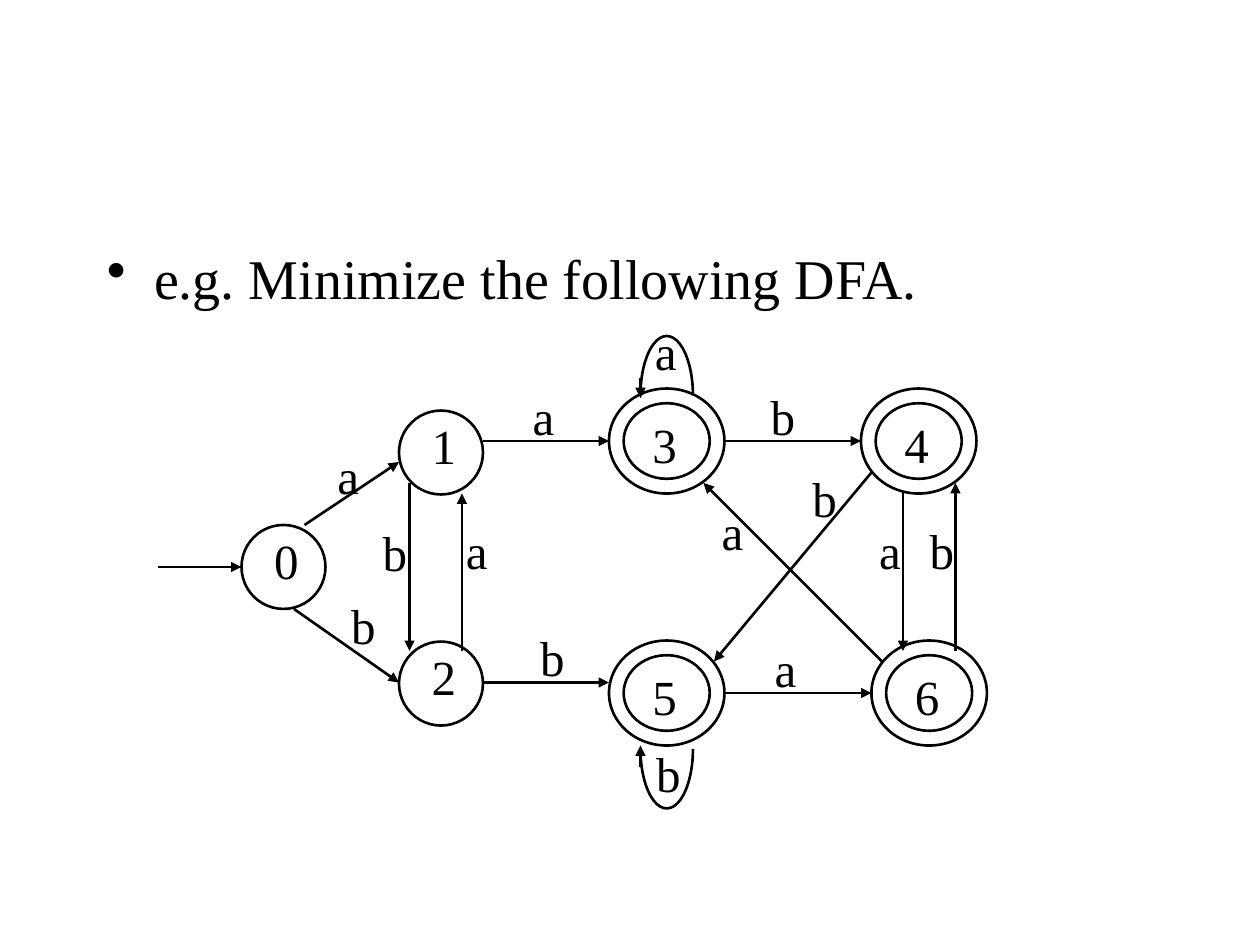
from lxml.etree import SubElement
from pptx import Presentation
from pptx.dml.color import RGBColor
from pptx.enum.shapes import MSO_CONNECTOR, MSO_SHAPE
from pptx.oxml.ns import qn
from pptx.util import Pt

INK = "000000"
FONT = "Times New Roman"
LINE_WIDTH = 1.5

# state: left, top, accepting
STATES = {
    "0": (48, 108, False),
    "1": (138, 42.6, False),
    "2": (138, 174.6, False),
    "3": (258, 30, True),
    "5": (258, 174, True),
    "4": (402, 30, True),
    "6": (408, 174, True),
}
TRANSITIONS = [
    ((0, 132), (48, 132), None, None),
    ((84, 108), (138, 72), "a", (88.6, 59.3)),
    ((78, 156), (138, 198), "b", (96.5, 145)),
    ((144, 84), (144, 180), "b", (114.5, 103.2)),
    ((174, 180), (174, 90), "a", (162, 101.8)),
    ((186, 60), (258, 60), "a", (200.2, 25.4)),
    ((186, 198), (258, 198), "b", (204.5, 163)),
    ((324, 60), (402, 60), "b", (336.2, 25.4)),
    ((324, 204), (408, 204), "a", (338.4, 169.4)),
    ((408, 78), (318, 186), "b", (360, 72.2)),
    ((414, 186), (312, 84), "a", (308.2, 91)),
    ((426, 90), (426, 180), "a", (398.2, 101.8)),
    ((456, 180), (456, 84), "b", (427, 101.8)),
    ((276, 24), (276, 35.5), "a", (270, -12)),
    ((276, 246.5), (276, 234), "b", (270.7, 229.2)),
]
# loop: left, top, start and end angle in degrees
LOOPS = [(276, 0, 180, 0), (276, 202, 0, 180)]


def color(hex_code):
    """Turn a hex string into a colour."""
    return RGBColor.from_string(hex_code)


def add_text(slide, text, left, top, width, height, size=28, inset=14.2,
             inset_top=3.6, bullet_indent=0):
    """Place one paragraph of text, with a bullet if an indent is given."""
    box = slide.shapes.add_textbox(Pt(left), Pt(top), Pt(width), Pt(height))
    frame = box.text_frame
    frame.word_wrap = True
    frame.margin_left, frame.margin_right = Pt(inset), 0
    frame.margin_top = Pt(inset_top)
    paragraph = frame.paragraphs[0]
    paragraph.text = text
    if bullet_indent:
        properties = paragraph._p.get_or_add_pPr()
        properties.set("marL", str(Pt(bullet_indent)))
        properties.set("indent", str(-Pt(bullet_indent)))
        SubElement(properties, qn("a:buChar"), char="•")
    paragraph.font.size = Pt(size)
    paragraph.font.name = FONT
    paragraph.font.color.rgb = color(INK)


def add_outline(slide, preset, left, top, width, height, adjustments=()):
    """Draw an unfilled preset shape."""
    outline = slide.shapes.add_shape(preset, Pt(left), Pt(top), Pt(width), Pt(height))
    for index, value in enumerate(adjustments):
        outline.adjustments[index] = value
    outline.shadow.inherit = False
    outline.fill.background()
    outline.line.color.rgb = color(INK)
    outline.line.width = Pt(LINE_WIDTH)


def add_arrow(slide, start, end):
    """Draw a straight arrow from start to end."""
    arrow = slide.shapes.add_connector(
        MSO_CONNECTOR.STRAIGHT, *(Pt(value) for value in (*start, *end)))
    arrow.line.color.rgb = color(INK)
    arrow.line.width = Pt(LINE_WIDTH)
    SubElement(arrow.line._get_or_add_ln(), qn("a:tailEnd"), type="triangle")
    SubElement(arrow._element.spPr, qn("a:effectLst"))


def add_state(slide, name, left, top, accepting):
    """Draw a state, with a double ring if it is accepting."""
    if accepting:
        add_outline(slide, MSO_SHAPE.DONUT, left, top, 66, 60, [0.14])
        add_text(slide, name, left + 10.6, top + 11.4, 35, 41)
    else:
        add_outline(slide, MSO_SHAPE.OVAL, left, top, 48, 48)
        add_text(slide, name, left + 4.5, top - 0.5, 35, 41)


def add_automaton(slide, left, top):
    """Draw the states, loops and labelled transitions."""
    for name, (x, y, accepting) in STATES.items():
        add_state(slide, name, left + x, top + y, accepting)
    for x, y, *angles in LOOPS:
        add_outline(slide, MSO_SHAPE.ARC, left + x, top + y, 30, 68,
                    [angle * 0.6 for angle in angles])
    for start, end, symbol, place in TRANSITIONS:
        add_arrow(slide, (left + start[0], top + start[1]),
                  (left + end[0], top + end[1]))
        if symbol:
            add_text(slide, symbol, left + place[0], top + place[1], 35, 41)


def main():
    """Build and save the slide."""
    presentation = Presentation()
    presentation.slide_width, presentation.slide_height = Pt(720), Pt(540)
    slide = presentation.slides.add_slide(presentation.slide_layouts[6])
    add_text(slide, "e.g. Minimize the following DFA.", 54, 131.8, 612, 94.2,
             size=32, inset=7.2, inset_top=7.6, bullet_indent=27)
    add_automaton(slide, 90, 192)
    presentation.save("out.pptx")


if __name__ == "__main__":
    main()
